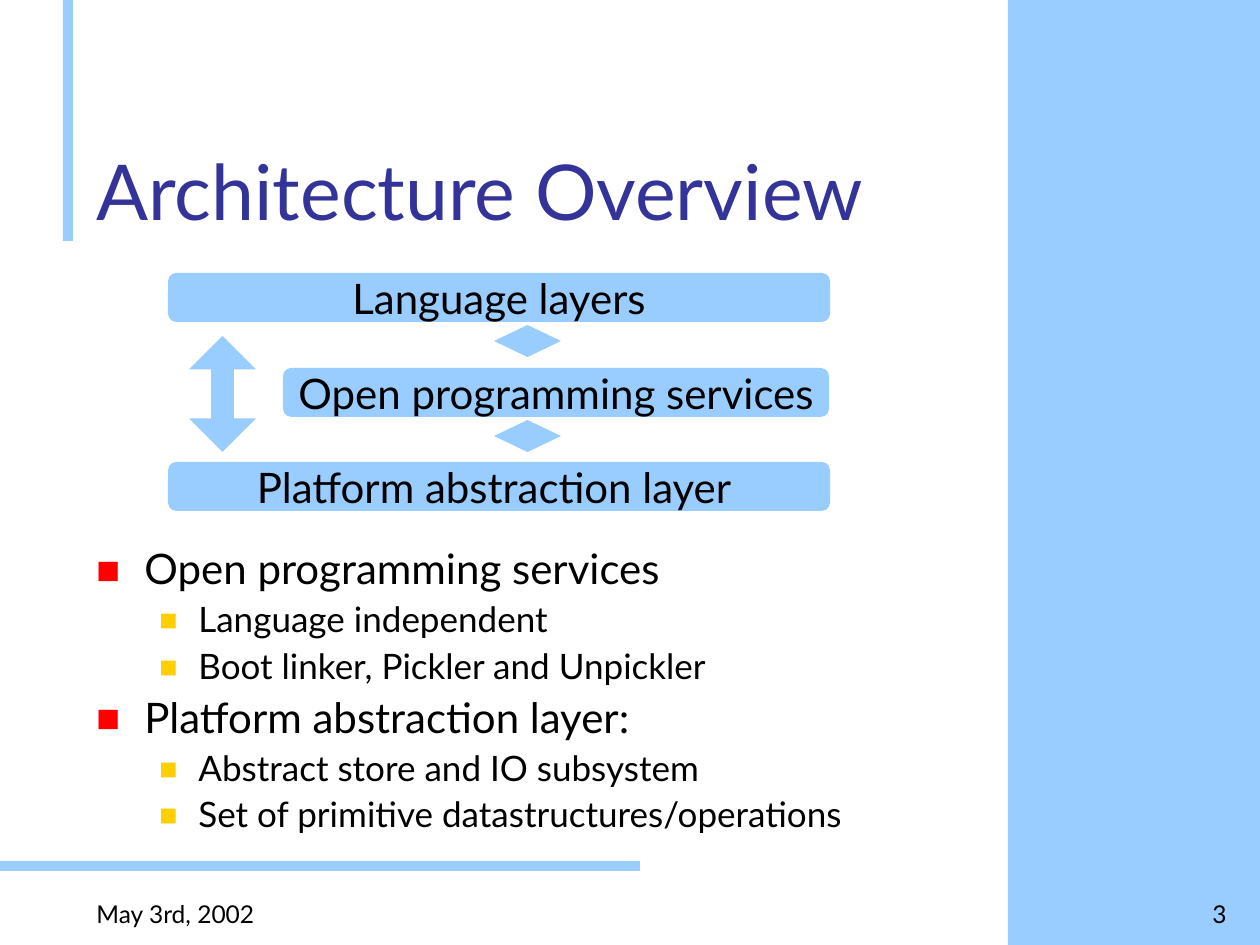
from dataclasses import dataclass

import pptx
import pptx.dml.color
import pptx.enum.shapes
import pptx.enum.text
import pptx.oxml.ns
import pptx.util
from lxml import etree

EMU_PER_PX = 914400 / 126
SHAPE = pptx.enum.shapes.MSO_SHAPE
ALIGN = pptx.enum.text.PP_ALIGN
ANCHOR = pptx.enum.text.MSO_ANCHOR


@dataclass(frozen=True)
class Theme:
    font: str = "Lato"
    accent: str = "99CCFF"
    heading: str = "333399"
    ink: str = "000000"
    topic_mark: str = "FF0000"
    detail_mark: str = "FFCF01"
    heading_pt: int = 44
    topic_pt: int = 24
    detail_pt: int = 20
    footer_pt: int = 14


THEME = Theme()


@dataclass(frozen=True)
class Box:
    left: int
    top: int
    width: int
    height: int

    def emu(self) -> list[int]:
        return [px(n) for n in (self.left, self.top, self.width, self.height)]


@dataclass(frozen=True)
class Layer:
    label: str
    box: Box


@dataclass(frozen=True)
class Arrow:
    box: Box
    head: float


@dataclass(frozen=True)
class Level:
    size: int
    mark: str
    mark_percent: int
    indent: int
    hanging: int
    before: int


TOPIC = Level(THEME.topic_pt, THEME.topic_mark, 60, 48, 48, 6)
DETAIL = Level(THEME.detail_pt, THEME.detail_mark, 55, 102, 39, 5)

DECORATION = [Box(1008, 0, 252, 945), Box(63, 0, 10, 241), Box(0, 861, 640, 10)]
LAYERS = [
    Layer("Language layers", Box(168, 273, 662, 49)),
    Layer("Open programming services", Box(283, 368, 546, 49)),
    Layer("Platform abstraction layer ", Box(168, 462, 662, 49)),
]
ARROWS = [
    Arrow(Box(189, 336, 67, 116), 0.34),
    Arrow(Box(494, 325, 67, 32), 0.2),
    Arrow(Box(494, 420, 67, 32), 0.2),
]
OUTLINE = [
    (TOPIC, "Open programming services"),
    (DETAIL, "Language independent"),
    (DETAIL, "Boot linker, Pickler and Unpickler"),
    (TOPIC, "Platform abstraction layer:"),
    (DETAIL, "Abstract store and IO subsystem"),
    (DETAIL, "Set of primitive datastructures/operations"),
]


def px(n: int) -> int:
    return round(n * EMU_PER_PX)


def rgb(color: str) -> pptx.dml.color.RGBColor:
    return pptx.dml.color.RGBColor.from_string(color)


def write(paragraph, text: str, *, size: int, color: str = THEME.ink, align=ALIGN.LEFT) -> None:
    paragraph.alignment = align
    run = paragraph.add_run()
    run.text = text
    run.font.name = THEME.font
    run.font.size = pptx.util.Pt(size)
    run.font.color.rgb = rgb(color)


def add_solid(slide, kind, box: Box, adjustments: tuple[float, ...] = ()):
    solid = slide.shapes.add_shape(kind, *box.emu())
    solid.shadow.inherit = False
    solid.fill.solid()
    solid.fill.fore_color.rgb = rgb(THEME.accent)
    solid.line.fill.background()
    for index, value in enumerate(adjustments):
        solid.adjustments[index] = value
    return solid


def add_frame(slide, box: Box, anchor):
    frame = slide.shapes.add_textbox(*box.emu()).text_frame
    frame.word_wrap = True
    frame.vertical_anchor = anchor
    return frame


def add_layer(slide, layer: Layer) -> None:
    frame = add_solid(slide, SHAPE.ROUNDED_RECTANGLE, layer.box, (0.17,)).text_frame
    frame.word_wrap = False
    frame.vertical_anchor = ANCHOR.MIDDLE
    write(frame.paragraphs[0], layer.label, size=THEME.topic_pt, align=ALIGN.CENTER)


def add_bullet(paragraph, level: Level) -> None:
    properties = paragraph._p.get_or_add_pPr()
    properties.set("marL", str(px(level.indent)))
    properties.set("indent", str(-px(level.hanging)))
    qn = pptx.oxml.ns.qn
    color = etree.SubElement(properties, qn("a:buClr"))
    etree.SubElement(color, qn("a:srgbClr"), val=level.mark)
    etree.SubElement(properties, qn("a:buSzPct"), val=str(level.mark_percent * 1000))
    etree.SubElement(properties, qn("a:buFont"), typeface=THEME.font)
    etree.SubElement(properties, qn("a:buChar"), char="■")


def add_outline(slide, box: Box) -> None:
    frame = add_frame(slide, box, ANCHOR.TOP)
    for index, (level, text) in enumerate(OUTLINE):
        paragraph = frame.add_paragraph() if index else frame.paragraphs[0]
        add_bullet(paragraph, level)
        paragraph.level = 1 if level is DETAIL else 0
        paragraph.line_spacing = 0.9
        if index:
            paragraph.space_before = pptx.util.Pt(level.before)
        write(paragraph, text, size=level.size)


def main() -> None:
    deck = pptx.Presentation()
    deck.slide_width, deck.slide_height = px(1260), px(945)
    slide = deck.slides.add_slide(deck.slide_layouts[6])

    for box in DECORATION:
        add_solid(slide, SHAPE.RECTANGLE, box)

    title = add_frame(slide, Box(84, 84, 924, 158), ANCHOR.BOTTOM)
    write(title.paragraphs[0], "Architecture Overview", size=THEME.heading_pt, color=THEME.heading)
    add_outline(slide, Box(84, 542, 1155, 303))

    for layer in LAYERS:
        add_layer(slide, layer)
    for arrow in ARROWS:
        add_solid(slide, SHAPE.UP_DOWN_ARROW, arrow.box, (0.5, arrow.head))

    page = add_frame(slide, Box(1018, 872, 221, 63), ANCHOR.BOTTOM)
    write(page.paragraphs[0], "3", size=THEME.footer_pt, align=ALIGN.RIGHT)
    date = add_frame(slide, Box(84, 872, 914, 63), ANCHOR.BOTTOM)
    write(date.paragraphs[0], "May 3rd, 2002", size=THEME.footer_pt)

    deck.save("out.pptx")


if __name__ == "__main__":
    main()
